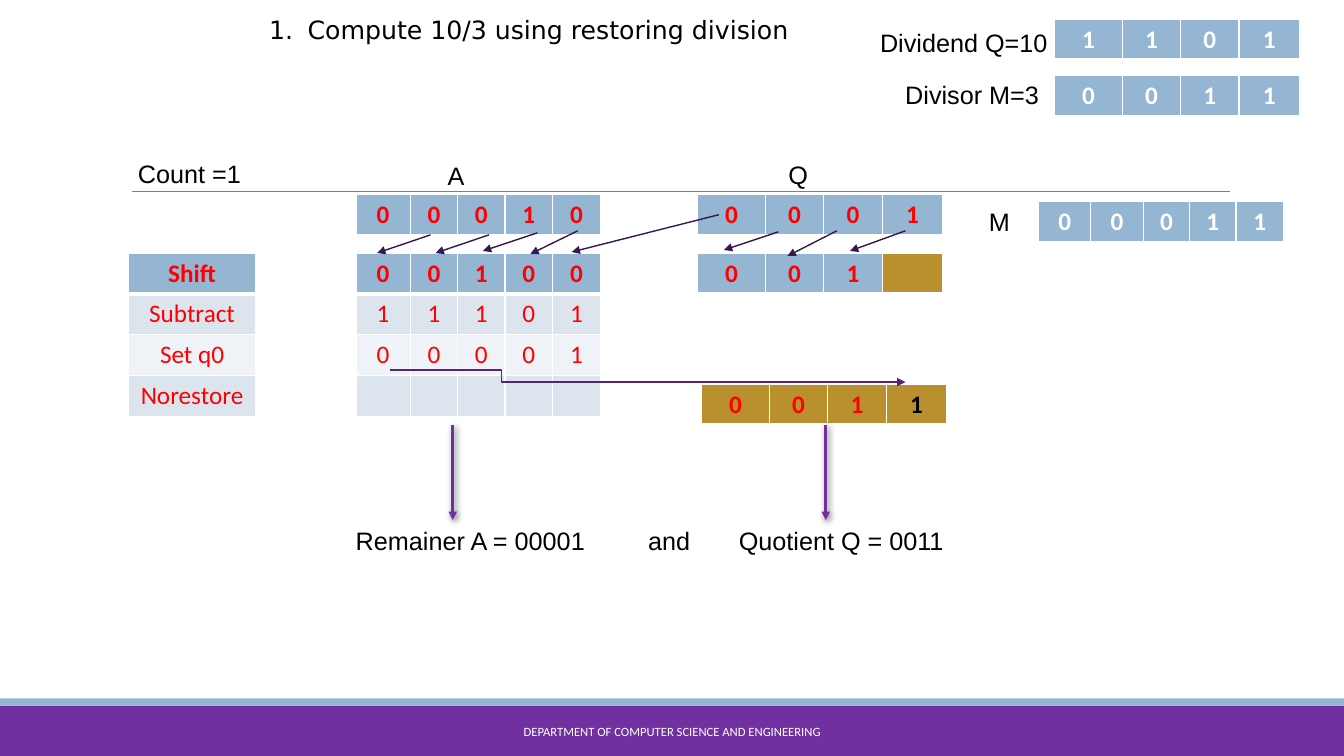
from lxml import etree
from pptx import Presentation
from pptx.dml.color import RGBColor
from pptx.enum.shapes import MSO_CONNECTOR as CONN, MSO_SHAPE
from pptx.enum.text import MSO_ANCHOR as ANCHOR, MSO_AUTO_SIZE, PP_ALIGN as ALIGN
from pptx.oxml.ns import qn
from pptx.util import Inches, Pt

COLORS = {k: RGBColor.from_string(v) for k, v in {
    "purple": "7030A0", "blue": "94B6D2", "gold": "BA8F2D", "band": "DCE5EE",
    "pale": "EFF3F7", "red": "FF0000", "white": "FFFFFF", "black": "000000",
    "grey": "7F7F7F", "shift": "381850", "carry": "542478"}.items()}
A_COLS = [0.54, 0.47, 0.47, 0.47, 0.48]
Q_COLS = [0.67, 0.58, 0.58, 0.6]
M_COLS = [0.52, 0.52, 0.46, 0.46, 0.47]
ROW_FILLS = ["blue", "band", "pale", "band"]


def add_grid(left, top, cols, rows, color="red", head="blue"):
    """Add a table whose first row is a bold header above a thick border."""
    frame = s.shapes.add_table(len(rows), len(cols), Inches(left), Inches(top),
                               Inches(sum(cols)), Inches(0.405 * len(rows)))
    table = frame.table
    table.first_row = table.horz_banding = False
    for column, width in zip(table.columns, cols):
        column.width = Inches(width)
    for i, values in enumerate(rows):
        table.rows[i].height = Inches(0.405)
        for j, value in enumerate(values):
            cell = table.cell(i, j)
            tcPr = cell._tc.get_or_add_tcPr()
            for side in "LRTB":
                thick = (side == "B" and i == 0) or (side == "T" and i == 1)
                ln = etree.SubElement(tcPr, qn(f"a:ln{side}"), w=str(Pt(3 if thick else 1)))
                fill = etree.SubElement(ln, qn("a:solidFill"))
                etree.SubElement(fill, qn("a:srgbClr"), val=str(COLORS["white"]))
            cell.fill.solid()
            cell.fill.fore_color.rgb = COLORS[head if i == 0 else ROW_FILLS[i]]
            p = cell.text_frame.paragraphs[0]
            p.alignment = ALIGN.CENTER
            if value.strip():
                r = p.add_run()
                r.text = value
                r.font.size, r.font.name, r.font.bold = Pt(18), "Calibri", i == 0
                r.font.color.rgb = COLORS[color]
    return table


def add_line(start, end, color, width, arrow=True, kind=CONN.STRAIGHT):
    """Add a connector and return it with its empty effect list."""
    line = s.shapes.add_connector(kind, *map(Inches, start + end))
    line.line.color.rgb = COLORS[color]
    line.line.width = Pt(width)
    if arrow:
        etree.SubElement(line.line._get_or_add_ln(), qn("a:tailEnd"), type="triangle")
    return line, etree.SubElement(line._element.spPr, qn("a:effectLst"))


prs = Presentation()
prs.slide_width, prs.slide_height = Inches(13.33), Inches(7.5)
s = prs.slides.add_slide(prs.slide_layouts[5])

# Footer bars and rule
for top, height, color in [(7, 0.5, "purple"), (6.93, 0.07, "blue")]:
    bar = s.shapes.add_shape(MSO_SHAPE.RECTANGLE, 0, Inches(top), prs.slide_width, Inches(height))
    bar.shadow.inherit = False
    bar.fill.solid()
    bar.fill.fore_color.rgb = COLORS[color]
    bar.line.fill.background()
add_line((1.31, 1.9), (12.2, 1.9), "grey", 0.75, arrow=False)

# Title
title = s.shapes.title
title.left, title.top, title.width, title.height = map(Inches, (2.57, 0.05, 5.64, 0.42))
tf = title.text_frame
tf.text = "Compute 10/3 using restoring division"
tf.auto_size, tf.vertical_anchor = MSO_AUTO_SIZE.NONE, ANCHOR.TOP
p = tf.paragraphs[0]
p.alignment, p.line_spacing = ALIGN.JUSTIFY, 1.15
pPr = p._p.get_or_add_pPr()
pPr.set("marL", str(Inches(0.38)))
pPr.set("indent", str(Inches(-0.38)))
etree.SubElement(pPr, qn("a:buAutoNum"), type="arabicPeriod")
font = p.runs[0].font
font.size, font.name, font.color.rgb = Pt(18), "DejaVu Sans", COLORS["black"]

# Registers and steps
add_grid(3.53, 2.51, A_COLS, ["00100", "11101", "00001", "     "])
shifted_q = add_grid(6.92, 2.51, Q_COLS, ["001 "])
shifted_q.cell(0, 3).fill.fore_color.rgb = COLORS["gold"]
add_grid(10.46, 0.19, Q_COLS, ["1101"], "white")
add_grid(10.46, 0.75, Q_COLS, ["0011"], "white")
add_grid(3.53, 1.93, A_COLS, ["00010"])
add_grid(6.92, 1.93, Q_COLS, ["0001"])
add_grid(1.27, 2.51, [1.27], [["Shift"], ["Subtract"], ["Set q0"], ["Norestore"]])
add_grid(10.3, 2, M_COLS, ["00011"], "white")
quotient = add_grid(6.96, 3.81, Q_COLS, ["0011"], head="gold")
quotient.cell(0, 3).text_frame.paragraphs[0].runs[0].font.color.rgb = COLORS["black"]

# Labels
BODY = {"size": Pt(18), "name": "Arial"}
FOOT = {"size": Pt(9), "name": "Calibri"}
for left, top, width, text, style, color in [
        (8.63, 0.22, 2.18, "Dividend Q=10", BODY, "black"),
        (8.88, 0.74, 1.58, "Divisor M=3", BODY, "black"),
        (1.27, 1.52, 1.58, "Count =1", BODY, "black"),
        (4.34, 1.54, 0.58, "A", BODY, "black"),
        (7.72, 1.53, 0.58, "Q", BODY, "black"),
        (9.71, 2, 0.58, "M", BODY, "black"),
        (3.43, 5.16, 6.82, "Remainer A = 00001\tand\tQuotient Q = 0011", BODY, "black"),
        (4.03, 7.06, 5.27, "DEPARTMENT OF COMPUTER SCIENCE AND ENGINEERING", FOOT, "white")]:
    tf = s.shapes.add_textbox(*map(Inches, (left, top, width, 0.4))).text_frame
    tf.word_wrap = True
    p = tf.paragraphs[0]
    if "\t" in text:
        tabs = etree.SubElement(p._p.get_or_add_pPr(), qn("a:tabLst"))
        for stop in (2.9, 3.8):
            etree.SubElement(tabs, qn("a:tab"), pos=str(Inches(stop)), algn="l")
    if style is FOOT:
        p.alignment, tf.vertical_anchor = ALIGN.CENTER, ANCHOR.MIDDLE
    r = p.add_run()
    r.text = text
    for name, value in style.items():
        setattr(r.font, name, value)
    r.font.color.rgb = COLORS[color]

# Shift arrows
for start, end in [
        ((4.27, 2.33), (3.74, 2.51)), ((4.85, 2.33), (4.32, 2.51)),
        ((5.33, 2.31), (4.79, 2.49)), ((5.73, 2.29), (5.26, 2.52)),
        ((7.13, 2.13), (5.67, 2.5)), ((8.3, 2.29), (7.81, 2.54)),
        ((7.72, 2.3), (7.18, 2.48)), ((8.98, 2.29), (8.43, 2.49))]:
    add_line(start, end, "shift", 1)

# Sign bit carried into q0
carry, _ = add_line((3.87, 3.67), (8.98, 3.79), "carry", 1, kind=CONN.ELBOW)
guides = carry._element.spPr.find(qn("a:prstGeom")).find(qn("a:avLst"))
etree.SubElement(guides, qn("a:gd"), name="adj1", fmla="val 21600")

# Result arrows
for x in (4.49, 8.19):
    _, effects = add_line((x, 4.22), (x, 5.16), "purple", 2)
    shadow = etree.SubElement(effects, qn("a:outerShdw"), blurRad=str(Pt(5)),
                              dist=str(Pt(2)), dir=str(45 * 60000))
    clr = etree.SubElement(shadow, qn("a:srgbClr"), val=str(COLORS["black"]))
    etree.SubElement(clr, qn("a:alpha"), val="60000")

prs.save("out.pptx")
